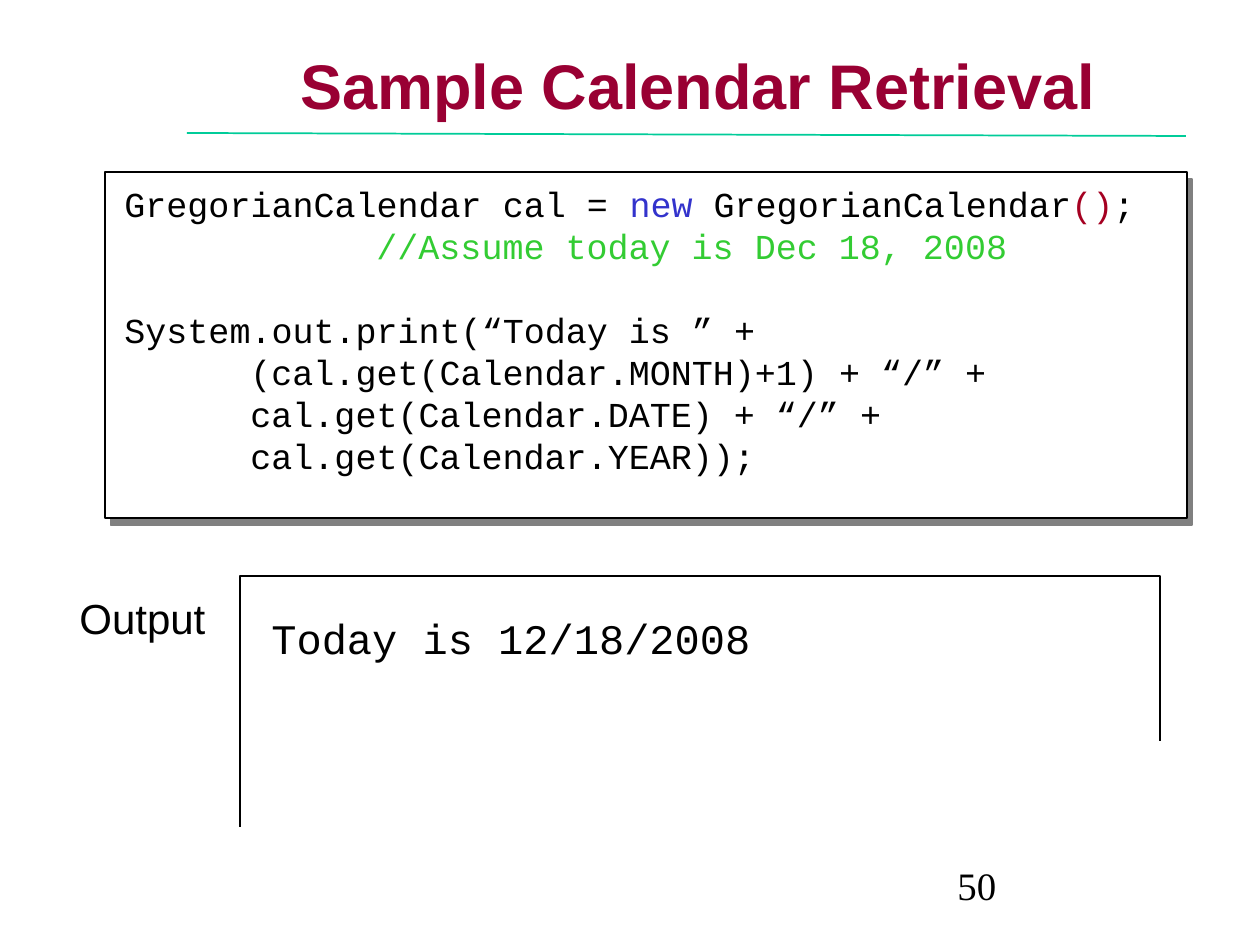
import dataclasses

import lxml.etree
import pptx
import pptx.dml.color
import pptx.enum.shapes
import pptx.enum.text
import pptx.oxml.ns
import pptx.util

PX = 914400 / 126


@dataclasses.dataclass(frozen=True)
class Theme:
    """Colours, fonts and type sizes of the slide."""
    ink: str = "000000"
    paper: str = "FFFFFF"
    title: str = "990033"
    rule: str = "00CC99"
    keyword: str = "3333CC"
    bracket: str = "A50021"
    comment: str = "33CC33"
    shadow: str = "808080"
    sans: str = "Arial"
    mono: str = "Courier New"
    serif: str = "Times New Roman"
    title_size: float = 36
    output_size: float = 24
    code_size: float = 20
    number_size: float = 22.2
    code_gap: float = 24
    outline: float = 0.75
    rule_width: float = 1


THEME = Theme()

CODE_LINES = [
    [("GregorianCalendar cal = ", THEME.ink), ("new", THEME.keyword),
     (" GregorianCalendar", THEME.ink), ("()", THEME.bracket), (";", THEME.ink)],
    [("\t\t", THEME.ink), ("//Assume today is Dec 18, 2008", THEME.comment)],
    [("System.out.print(“Today is ” +", THEME.ink)],
    [("\t(cal.get(Calendar.MONTH)+1) + “/” +", THEME.ink)],
    [("\tcal.get(Calendar.DATE) + “/” +", THEME.ink)],
    [("\tcal.get(Calendar.YEAR));", THEME.ink)],
]
STATEMENT_START = 2
TAB_STEP = 126
TAB_COUNT = 7


def emu(pixels):
    """Turn px into EMU."""
    return pptx.util.Emu(round(pixels * PX))


def rgb(colour):
    """Turn a hex string into a colour."""
    return pptx.dml.color.RGBColor.from_string(colour)


def style_span(span, font, size, colour, bold=False):
    """Set the font of one run."""
    span.font.name = font
    span.font.size = pptx.util.Pt(size)
    span.font.bold = bold
    span.font.color.rgb = rgb(colour)


def style_line(line, colour, width):
    """Set the colour and width of a line."""
    line.color.rgb = rgb(colour)
    line.width = pptx.util.Pt(width)


def add_tabs(para):
    """Give a paragraph evenly spaced left tab stops."""
    properties = para._p.get_or_add_pPr()
    tabs = lxml.etree.SubElement(properties, pptx.oxml.ns.qn("a:tabLst"))
    for step in range(1, TAB_COUNT + 1):
        lxml.etree.SubElement(tabs, pptx.oxml.ns.qn("a:tab"),
                              pos=str(emu(step * TAB_STEP)), algn="l")


def add_text_box(page, left, top, width, height, wrap=True):
    """Add an empty text box and return its frame."""
    box = page.shapes.add_textbox(emu(left), emu(top), emu(width), emu(height))
    box.text_frame.word_wrap = wrap
    return box.text_frame


def add_label(page, box, text, font, size, colour=THEME.ink, bold=False, wrap=True):
    """Add a text box with one line and return its frame."""
    frame = add_text_box(page, *box, wrap=wrap)
    frame.text = text
    style_span(frame.paragraphs[0].runs[0], font, size, colour, bold)
    return frame


def add_effects(shape):
    """Give a shape an empty effect list and return it."""
    properties = shape._element.spPr
    return lxml.etree.SubElement(properties, pptx.oxml.ns.qn("a:effectLst"))


def add_hard_shadow(shape):
    """Add an unblurred shadow below and to the right of a shape."""
    shadow = lxml.etree.SubElement(
        add_effects(shape), pptx.oxml.ns.qn("a:outerShdw"),
        blurRad="0", dist=str(pptx.util.Pt(5)), dir=str(53 * 60000),
        algn="ctr", rotWithShape="0")
    lxml.etree.SubElement(shadow, pptx.oxml.ns.qn("a:srgbClr"), val=THEME.shadow)


def add_heading(page, left, top, width, height):
    """Place the title and the rule below it."""
    frame = add_label(page, (left, top, width, height), "Sample Calendar Retrieval",
                      THEME.sans, THEME.title_size, THEME.title, bold=True)
    frame.vertical_anchor = pptx.enum.text.MSO_ANCHOR.MIDDLE
    frame.paragraphs[0].alignment = pptx.enum.text.PP_ALIGN.CENTER
    rule = page.shapes.add_connector(
        pptx.enum.shapes.MSO_CONNECTOR.STRAIGHT,
        emu(left - 2), emu(top + 101), emu(left + 997), emu(top + 104))
    style_line(rule.line, THEME.rule, THEME.rule_width)
    add_effects(rule)


def add_code(page, left, top, width, height):
    """Place the shadowed panel and the coloured code."""
    panel = page.shapes.add_shape(
        pptx.enum.shapes.MSO_SHAPE.RECTANGLE,
        emu(left), emu(top), emu(width), emu(height))
    panel.fill.solid()
    panel.fill.fore_color.rgb = rgb(THEME.paper)
    style_line(panel.line, THEME.ink, THEME.outline)
    add_hard_shadow(panel)
    frame = add_text_box(page, left + 7, top + 4, width - 16, height + 3)
    for index, pieces in enumerate(CODE_LINES):
        para = frame.add_paragraph() if index else frame.paragraphs[0]
        if index == STATEMENT_START:
            para.space_before = pptx.util.Pt(THEME.code_gap)
        add_tabs(para)
        for text, colour in pieces:
            span = para.add_run()
            span.text = text
            style_span(span, THEME.mono, THEME.code_size, colour)


def add_output(page, left, top, width, height):
    """Place the label, the open frame and the printed result."""
    frame_left = left + 173
    right = left + width
    builder = page.shapes.build_freeform(frame_left, top + height, scale=PX)
    builder.add_line_segments(
        [(frame_left, top), (right, top), (right, top + 165)], close=False)
    outline = builder.convert_to_shape()
    outline.shadow.inherit = False
    outline.fill.background()
    style_line(outline.line, THEME.ink, THEME.outline)
    add_label(page, (frame_left + 19, top + 30, 833, 63), "Today is 12/18/2008",
              THEME.mono, THEME.output_size)
    add_label(page, (left, top + 10, 151, 63), "Output",
              THEME.sans, THEME.output_size, wrap=False)


def add_page_number(page, left, top, width, height):
    """Place the page number."""
    frame = add_label(page, (left, top, width, height), "50",
                      THEME.serif, THEME.number_size)
    frame.paragraphs[0].line_spacing = 0.9


def main():
    """Build and save the deck."""
    deck = pptx.Presentation()
    deck.slide_width, deck.slide_height = emu(1260), emu(945)
    page = deck.slides.add_slide(deck.slide_layouts[6])
    add_heading(page, 189, 32, 1018, 105)
    add_code(page, 105, 172, 1082, 346)
    add_output(page, 67, 576, 1093, 251)
    add_page_number(page, 945, 861, 273, 63)
    deck.save("out.pptx")


if __name__ == "__main__":
    main()
